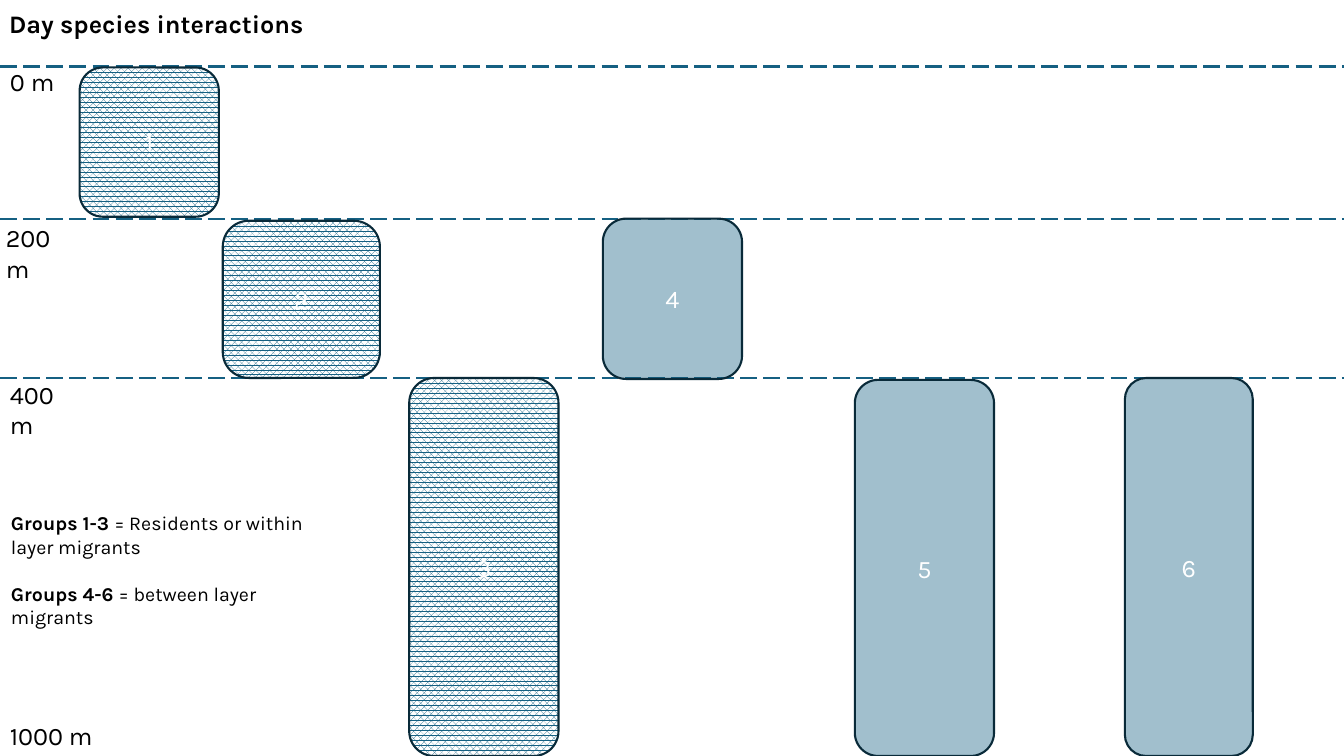
from lxml import etree
from pptx import Presentation
from pptx.dml.color import RGBColor
from pptx.enum.dml import MSO_LINE, MSO_PATTERN
from pptx.enum.shapes import MSO_CONNECTOR, MSO_SHAPE
from pptx.enum.text import MSO_ANCHOR, MSO_AUTO_SIZE, PP_ALIGN
from pptx.oxml.ns import qn
from pptx.util import Pt

DASH = MSO_LINE.LONG_DASH
DOTS = MSO_PATTERN.PERCENT_70
LINE = MSO_CONNECTOR.STRAIGHT
ROUND = MSO_SHAPE.ROUNDED_RECTANGLE
TOP, MIDDLE = MSO_ANCHOR.TOP, MSO_ANCHOR.MIDDLE
GROW = MSO_AUTO_SIZE.SHAPE_TO_FIT_TEXT
LEFT, CENTER = PP_ALIGN.LEFT, PP_ALIGN.CENTER

HEX = {"teal": "156082", "edge": "092A39", "black": "000000", "white": "FFFFFF"}
COLOR = {name: RGBColor.from_string(code) for name, code in HEX.items()}


def add_run(para, text, size=18, color="black", bold=False):
    run = para.add_run()
    run.text = text
    run.font.name = "Karla"
    run.font.size = Pt(size)
    run.font.bold = bold
    run.font.color.rgb = COLOR[color]


def add_text(x, y, w, h):
    frame = slide.shapes.add_textbox(Pt(x), Pt(y), Pt(w), Pt(h)).text_frame
    frame.word_wrap = True
    frame.auto_size = GROW
    return frame


deck = Presentation()
deck.slide_width, deck.slide_height = Pt(960), Pt(540)
slide = deck.slides.add_slide(deck.slide_layouts[5])

# Title
title = slide.shapes.title
title.left, title.top, title.width, title.height = Pt(-0.7), Pt(2.2), Pt(320.4), Pt(29)
frame = title.text_frame
frame.vertical_anchor = TOP
frame.word_wrap = True
frame.auto_size = GROW
para = frame.paragraphs[0]
para.alignment = LEFT
add_run(para, "Day species interactions", bold=True)

# Depth lines
for y in (47.5, 156.2, 270):
    line = slide.shapes.add_connector(LINE, Pt(0), Pt(y), Pt(960), Pt(y))
    line.line.color.rgb = COLOR["teal"]
    line.line.width = Pt(1.5)
    line.line.dash_style = DASH
    etree.SubElement(line._element.spPr, qn("a:effectLst"))

# Species groups: 1-3 patterned, 4-6 see-through
groups = [
    (56.9, 48.2, 99.4, 106.6),
    (159.1, 157.7, 112.3, 112.3),
    (292.3, 270, 106.6, 270),
    (430.6, 156.2, 99.4, 114.5),
    (610.6, 271.4, 99.4, 268.6),
    (803.5, 270, 91.4, 270),
]
for num, (x, y, w, h) in enumerate(groups, 1):
    box = slide.shapes.add_shape(ROUND, Pt(x), Pt(y), Pt(w), Pt(h))
    box.shadow.inherit = False
    box.line.color.rgb = COLOR["edge"]
    box.line.width = Pt(1.5)
    if num <= 3:
        box.fill.patterned()
        box.fill.pattern = DOTS
        box.fill.fore_color.rgb = COLOR["teal"]
        box.fill.back_color.rgb = COLOR["white"]
    else:
        box.fill.solid()
        box.fill.fore_color.rgb = COLOR["teal"]
        tint = box._element.spPr.find(qn("a:solidFill"))[0]
        etree.SubElement(tint, qn("a:alpha"), val="40000")
    box.text_frame.vertical_anchor = MIDDLE
    para = box.text_frame.paragraphs[0]
    para.alignment = CENTER
    add_run(para, str(num), color="white")

# Depth labels
depths = [
    ("0 m", 0, 43.9, 56.9),
    ("200 m", -2.9, 155.5, 64.8),
    ("400 m", 0, 267.1, 64.8),
    ("1000 m", 0, 511.2, 91.4),
]
for text, x, y, w in depths:
    add_run(add_text(x, y, w, 29).paragraphs[0], text)

# Key
key = add_text(0.7, 361.4, 251.3, 75)
first, second = key.paragraphs[0], key.add_paragraph()
second.space_before = Pt(17)
for para, name, note in (
    (first, "Groups 1-3 ", "= Residents or within layer migrants"),
    (second, "Groups 4-6 ", "= between layer migrants"),
):
    add_run(para, name, 14, bold=True)
    add_run(para, note, 14)

deck.save("out.pptx")
